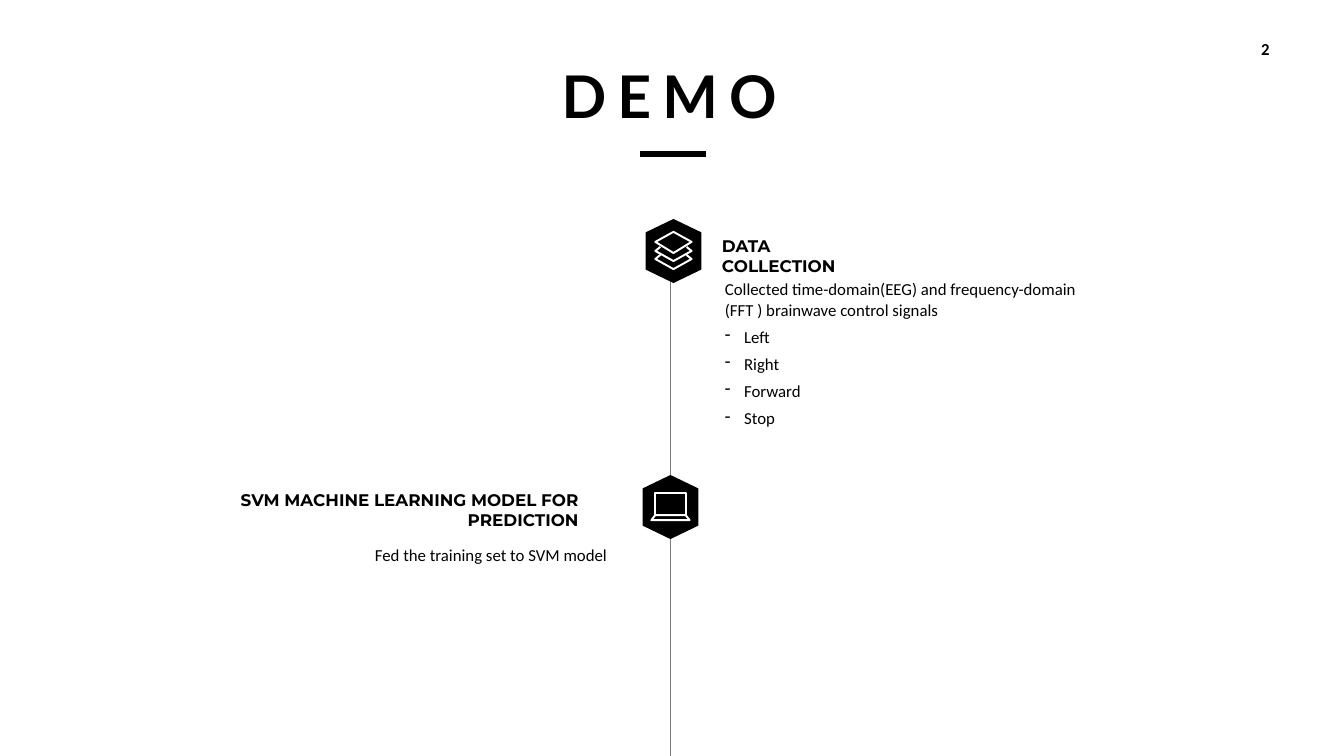
import dataclasses

import lxml.etree
import pptx
import pptx.dml.color
import pptx.enum.shapes
import pptx.enum.text
import pptx.oxml.ns
import pptx.util

Inches = pptx.util.Inches
Pt = pptx.util.Pt
Align = pptx.enum.text.PP_ALIGN
Anchor = pptx.enum.text.MSO_ANCHOR
Points = list[tuple[float, float]]

BLACK = "000000"
WHITE = "FFFFFF"
GRAY = "7F7F7F"
HEXAGON: Points = [(0, -0.31), (0.27, -0.18), (0.27, 0.18), (0, 0.31), (-0.27, 0.18), (-0.27, -0.18)]
HEADING_INSETS = (0.03, 0.05, 0.03, 0.05)
BODY_INSETS = (0.06, 0.06, 0.06, 0.06)


@dataclasses.dataclass
class Stroke:
    points: Points
    closed: bool = True


@dataclasses.dataclass
class Step:
    center: tuple[float, float]
    icon: list[Stroke]
    heading: str
    heading_box: tuple[float, float, float, float]
    heading_insets: tuple[float, float, float, float]
    body: str
    body_box: tuple[float, float, float, float]
    align: Align
    bullets: tuple[str, ...] = ()


def color(value: str) -> pptx.dml.color.RGBColor:
    return pptx.dml.color.RGBColor.from_string(value)


def write_paragraph(paragraph, text: str, *, size=12, font="Calibri", bold=False,
                    align=Align.LEFT, before=0, spacing=0, bullet="") -> None:
    paragraph.alignment = align
    paragraph.space_before = Pt(before)
    run = paragraph.add_run()
    run.text = text
    run.font.size = Pt(size)
    run.font.name = font
    run.font.bold = bold
    run.font.color.rgb = color(BLACK)
    if spacing:
        run.font._element.set("spc", str(spacing * 100))
    if bullet:
        properties = paragraph._p.get_or_add_pPr()
        properties.set("marL", str(Inches(0.19)))
        properties.set("indent", str(-Inches(0.19)))
        element = lxml.etree.SubElement(properties, pptx.oxml.ns.qn("a:buChar"))
        element.set("char", bullet)


def format_frame(shape, insets=(0, 0, 0, 0), anchor=Anchor.TOP):
    frame = shape.text_frame
    frame.word_wrap = True
    frame.auto_size = pptx.enum.text.MSO_AUTO_SIZE.NONE
    frame.vertical_anchor = anchor
    frame.margin_left, frame.margin_top, frame.margin_right, frame.margin_bottom = map(Inches, insets)
    return frame


def add_text(slide, box, text: str, *, insets=(0, 0, 0, 0), anchor=Anchor.TOP, **text_format):
    frame = format_frame(slide.shapes.add_textbox(*map(Inches, box)), insets, anchor)
    write_paragraph(frame.paragraphs[0], text, **text_format)
    return frame


def add_line(slide, start, end, line_color: str, width: float) -> None:
    connector = slide.shapes.add_connector(
        pptx.enum.shapes.MSO_CONNECTOR.STRAIGHT, *map(Inches, (*start, *end)))
    connector.line.color.rgb = color(line_color)
    connector.line.width = Pt(width)
    lxml.etree.SubElement(connector._element.spPr, pptx.oxml.ns.qn("a:effectLst"))


def add_outline(slide, center, stroke: Stroke, line_color: str, width: float, fill="") -> None:
    points = [(Inches(center[0] + x), Inches(center[1] + y)) for x, y in stroke.points]
    builder = slide.shapes.build_freeform(*points[0])
    builder.add_line_segments(points[1:], close=stroke.closed)
    shape = builder.convert_to_shape()
    shape.shadow.inherit = False
    shape.line.color.rgb = color(line_color)
    shape.line.width = Pt(width)
    if fill:
        shape.fill.solid()
        shape.fill.fore_color.rgb = color(fill)
    else:
        shape.fill.background()


def add_step(slide, step: Step) -> None:
    add_outline(slide, step.center, Stroke(HEXAGON), BLACK, 1, fill=BLACK)
    for stroke in step.icon:
        add_outline(slide, step.center, stroke, WHITE, 1.4)
    add_text(slide, step.heading_box, step.heading, insets=step.heading_insets,
             anchor=Anchor.MIDDLE, font="Montserrat", bold=True, align=step.align)
    frame = add_text(slide, step.body_box, step.body, insets=BODY_INSETS,
                     align=step.align, before=5)
    for bullet in step.bullets:
        write_paragraph(frame.add_paragraph(), bullet, before=5, bullet="-")


def layer_edge(drop: float) -> Stroke:
    return Stroke([(-0.13, drop - 0.04), (-0.18, drop), (0, drop + 0.1),
                   (0.18, drop), (0.13, drop - 0.04)], closed=False)


LAYERS = [Stroke([(0, -0.19), (0.18, -0.09), (0, 0.02), (-0.18, -0.09)]),
          layer_edge(0), layer_edge(0.08)]
LAPTOP = [Stroke([(-0.15, -0.14), (0.15, -0.14), (0.15, 0.08), (-0.15, 0.08)]),
          Stroke([(-0.15, 0.08), (0.15, 0.08), (0.19, 0.13), (-0.19, 0.13)])]

STEPS = [
    Step((6.68, 2.49), LAYERS, "DATA COLLECTION", (7.13, 2.39, 1.32, 0.3), HEADING_INSETS,
         "Collected time-domain(EEG) and frequency-domain (FFT ) brainwave control signals ",
         (7.13, 2.71, 3.88, 1.61), Align.LEFT, ("Left", "Right", "Forward", "Stop")),
    Step((6.65, 5.03), LAPTOP, "SVM MACHINE LEARNING MODEL FOR PREDICTION",
         (2.36, 4.91, 3.64, 0.3), (0, 0.05, 0.26, 0.05),
         "Fed the training set to SVM model ", (2.24, 5.34, 3.88, 0.32), Align.RIGHT),
]

presentation = pptx.Presentation()
presentation.slide_width = Inches(13.33)
presentation.slide_height = Inches(7.5)
slide = presentation.slides.add_slide(presentation.slide_layouts[5])

title = slide.shapes.title
title.left, title.top, title.width, title.height = map(Inches, (5.54, 0.54, 2.4, 0.81))
write_paragraph(format_frame(title, HEADING_INSETS).paragraphs[0], "DEMO",
                size=42, font="Lato", bold=True, spacing=8)
add_line(slide, (6.35, 1.53), (7, 1.53), BLACK, 4.5)
add_text(slide, (12.45, 0.33, 0.2, 0.3), "2", anchor=Anchor.MIDDLE, bold=True, align=Align.CENTER)

add_line(slide, (6.65, 2.38), (6.65, 7.5), GRAY, 0.5)
for step in STEPS:
    add_step(slide, step)

presentation.save("out.pptx")
